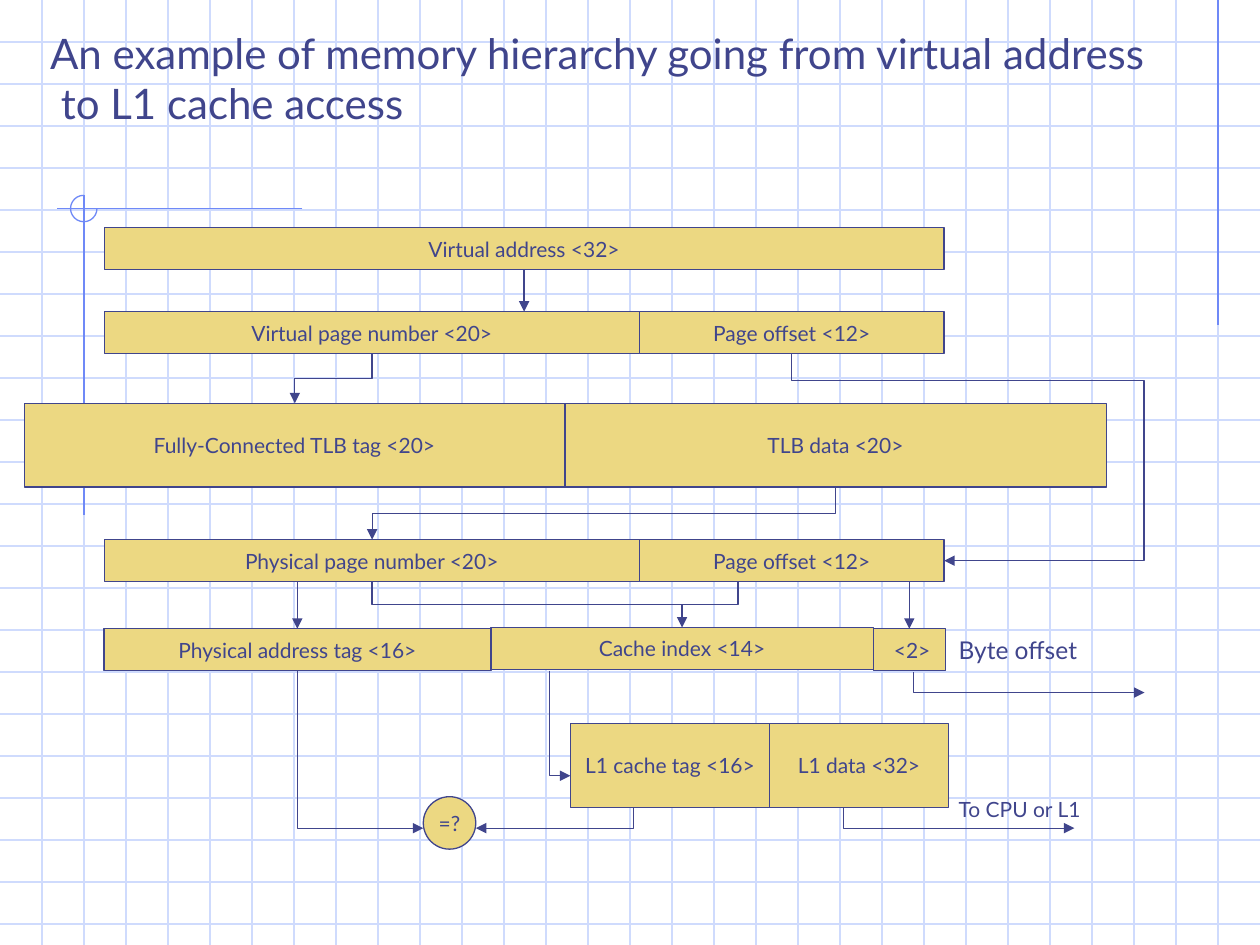
import pptx
import pptx.util
import pptx.dml.color
import pptx.enum.shapes
import pptx.enum.text
import pptx.oxml

SHAPE = pptx.enum.shapes.MSO_SHAPE
CONNECTOR = pptx.enum.shapes.MSO_CONNECTOR
ALIGN = pptx.enum.text.PP_ALIGN
ANCHOR = pptx.enum.text.MSO_ANCHOR

COLORS = {"ink": "40458C", "field": "ECD882", "grid": "CFDBFD", "accent": "6F89F7"}
COLUMNS, ROWS = 30, 22.5  # background squares, three to the inch
DRAWING = 'xmlns:a="http://schemas.openxmlformats.org/drawingml/2006/main"'


def cells(count):
    return pptx.util.Emu(round(pptx.util.Inches(count) / 3))


def color(name):
    return pptx.dml.color.RGBColor.from_string(COLORS[name])


def set_all(target, values):
    for attribute, value in values.items():
        setattr(target, attribute, value)


def style_line(shape, name, arrow=False):
    shape.line.color.rgb = color(name)
    shape.line.width = pptx.util.Pt(0.75)
    if arrow:
        shape.line._get_or_add_ln().append(
            pptx.oxml.parse_xml(f'<a:tailEnd {DRAWING} type="triangle"/>'))


def write(shape, lines, size, align, anchor, wrap):
    frame = shape.text_frame
    set_all(frame, {"text": "\n".join(lines), "word_wrap": wrap,
                    "vertical_anchor": anchor})
    for paragraph in frame.paragraphs:
        paragraph.alignment = align
        set_all(paragraph.font, {"name": "Lato", "size": pptx.util.Pt(size)})
        paragraph.font.color.rgb = color("ink")


def add_line(shapes, begin, end, name="ink", arrow=False, kind=CONNECTOR.STRAIGHT):
    line = shapes.add_connector(kind, *map(cells, (*begin, *end)))
    style_line(line, name, arrow)
    line._element.spPr.append(pptx.oxml.parse_xml(f"<a:effectLst {DRAWING}/>"))
    return line


def add_elbow(shapes, begin, end, turn, flip, bends, shares=(), arrow=True):
    """Join two points with a bent connector turned by a multiple of 90 degrees."""
    width, height = abs(end[0] - begin[0]), abs(end[1] - begin[1])
    if turn % 180:
        width, height = height, width
    left = (begin[0] + end[0] - width) / 2
    top = (begin[1] + end[1] - height) / 2
    elbow = add_line(shapes, (left, top), (left + width, top + height),
                     arrow=arrow, kind=CONNECTOR.ELBOW)
    frame = elbow._element.spPr.find(pptx.oxml.ns.qn("a:xfrm"))
    frame.set("rot", str(turn * 60000))
    if flip:
        frame.set(flip, "1")
    geometry = elbow._element.spPr.find(pptx.oxml.ns.qn("a:prstGeom"))
    geometry.set("prst", f"bentConnector{bends}")
    guides = "".join(f'<a:gd name="adj{number if len(shares) > 1 else 1}" '
                     f'fmla="val {round(share * 100000)}"/>'
                     for number, share in enumerate(shares, 1))
    for old in list(geometry):
        geometry.remove(old)
    geometry.append(pptx.oxml.parse_xml(f"<a:avLst {DRAWING}>{guides}</a:avLst>"))


def add_route(shapes, begin, end):
    """Arrow that goes down first, then sideways."""
    builder = shapes.build_freeform(*map(cells, begin))
    corner = (begin[0], end[1])
    builder.add_line_segments([tuple(map(cells, point)) for point in (corner, end)],
                              close=False)
    route = builder.convert_to_shape()
    route.shadow.inherit = False
    route.fill.background()
    style_line(route, "ink", arrow=True)


def add_field(shapes, text, left, top, width, height=1, outline=SHAPE.RECTANGLE):
    field = shapes.add_shape(outline, *map(cells, (left, top, width, height)))
    field.shadow.inherit = False
    field.fill.solid()
    field.fill.fore_color.rgb = color("field")
    style_line(field, "ink")
    write(field, [text], 12, ALIGN.CENTER, ANCHOR.MIDDLE, False)


def add_field_row(shapes, left, top, height, fields):
    """Lay fields side by side; each is a text and a width."""
    for text, width in fields:
        add_field(shapes, text, left, top, width, height)
        left += width


def add_label(shapes, lines, left, top, width, height, size, wrap=True):
    label = shapes.add_textbox(*map(cells, (left, top, width, height)))
    write(label, lines, size, ALIGN.LEFT, ANCHOR.TOP, wrap)


def add_background(slide):
    shapes = slide.shapes.add_group_shape().shapes
    for row in range(1, int(ROWS) + 1):
        add_line(shapes, (0, row), (COLUMNS, row), "grid")
    for column in range(1, COLUMNS):
        add_line(shapes, (column, 0), (column, ROWS), "grid")
    # Accent lines and the three-quarter circle on their crossing
    for begin, end in [((29, 0), (29, 7.75)), ((7.2, 4.97), (1.36, 4.97)),
                       ((2, 4.65), (2, 12.27))]:
        add_line(shapes, begin, end, "accent")
    arc = shapes.add_shape(SHAPE.ARC, *map(cells, (1.68, 4.65, 0.63, 0.63)))
    arc.adjustments[0], arc.adjustments[1] = 0, 162
    arc.shadow.inherit = False
    arc.fill.background()
    style_line(arc, "accent")


def main():
    deck = pptx.Presentation()
    set_all(deck, {"slide_width": cells(COLUMNS), "slide_height": cells(ROWS)})
    slide = deck.slides.add_slide(deck.slide_layouts[6])
    shapes = slide.shapes
    add_background(slide)

    # Address fields, from virtual address to cache
    for left, top, height, fields in [
        (2.48, 5.42, 1, [("Virtual address <32>", 20)]),
        (2.48, 7.42, 1, [("Virtual page number <20>", 12.75), ("Page offset <12>", 7.25)]),
        (0.58, 9.6, 2, [("Fully-Connected TLB tag <20>", 12.87), ("TLB data <20>", 12.89)]),
        (2.48, 12.85, 1, [("Physical page number <20>", 12.75), ("Page offset <12>", 7.25)]),
        (2.48, 14.97, 1, [("Physical address tag <16>", 9.21)]),
        (11.69, 14.94, 1, [("Cache index <14>", 9.1)]),
        (20.79, 14.97, 1, [(" <2>", 1.73)]),
        (13.58, 17.22, 2, [("L1 cache tag <16>", 4.75), ("L1 data <32>", 4.25)]),
    ]:
        add_field_row(shapes, left, top, height, fields)
    add_field(shapes, "=?", 10.08, 18.97, 1.25, 1.25, SHAPE.OVAL)

    # Straight arrows
    for begin, end in [((12.48, 6.42), (12.48, 7.42)), ((21.65, 13.85), (21.65, 14.97))]:
        add_line(shapes, begin, end, arrow=True)

    # Translation through the TLB, and the offset that bypasses it
    page = (8.86, 13.85)
    add_elbow(shapes, (8.86, 8.42), (7.02, 9.6), 90, None, 3, [0.5])
    add_elbow(shapes, (19.9, 11.6), (8.86, 12.85), 90, None, 3, [0.5])
    add_elbow(shapes, (18.85, 8.42), (22.48, 13.35), 270, "flipH", 4, [0.13, 2.31])

    # Physical address split into tag and index
    add_elbow(shapes, page, (7.08, 14.97), 180, "flipV", 2)
    add_elbow(shapes, page, (16.24, 14.94), 270, "flipH", 3, [0.5])
    add_elbow(shapes, (18.91, 13.85), (16.24, 14.39), 180, "flipV", 3, [0.5], arrow=False)

    # Cache lookup, tag comparison and outputs
    for begin, end in [
        ((13.08, 15.97), (13.58, 18.47)),
        ((15.08, 19.22), (11.33, 19.72)),
        ((7.08, 15.97), (10.08, 19.72)),
        ((21.75, 16), (27.25, 16.49)),
        ((20.08, 19.22), (25.58, 19.72)),
    ]:
        add_route(shapes, begin, end)

    # Labels and title
    add_label(shapes, ["Byte offset"], 22.53, 14.97, 4.5, 1.01, 14)
    add_label(shapes, ["To CPU or L1"], 22.53, 18.82, 3.6, 0.9, 12, wrap=False)
    add_label(shapes, ["An example of memory hierarchy going from virtual address",
                       " to L1 cache access"], 0.9, 0.5, 29.28, 2.7, 24)

    deck.save("out.pptx")


if __name__ == "__main__":
    main()
